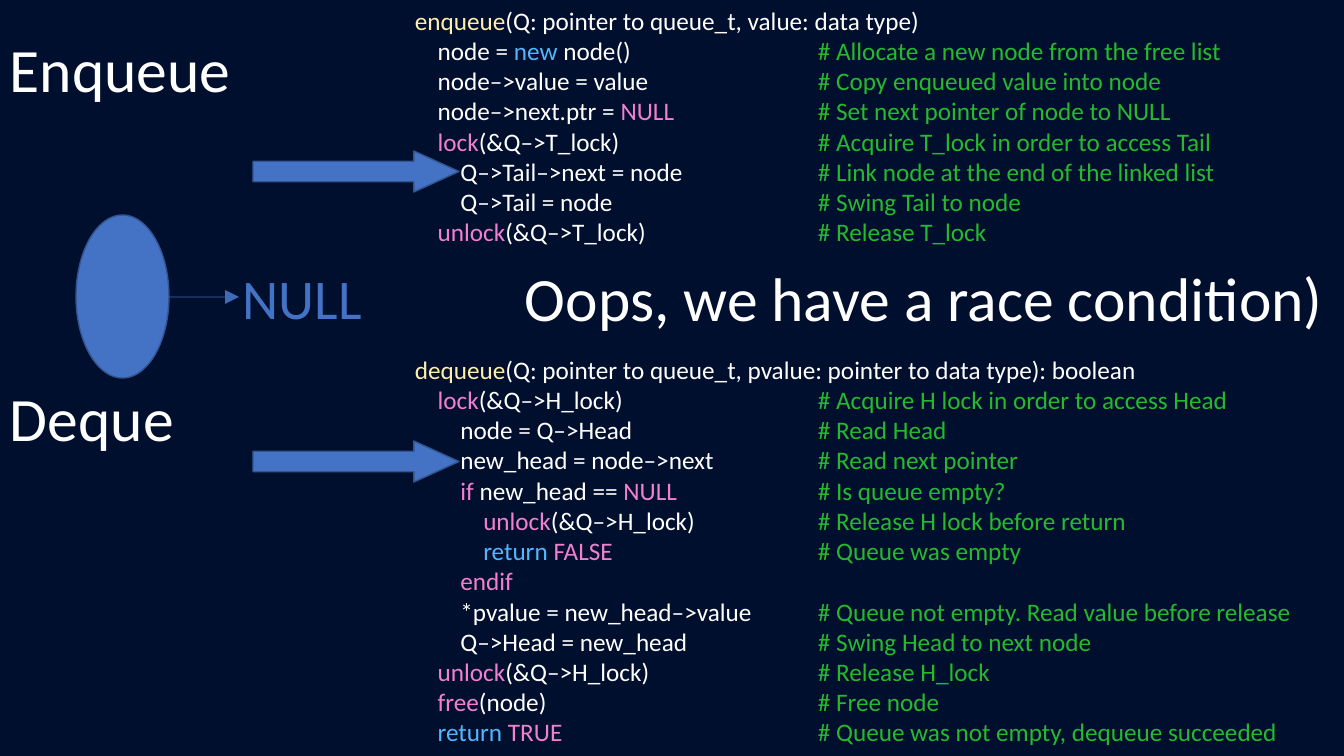
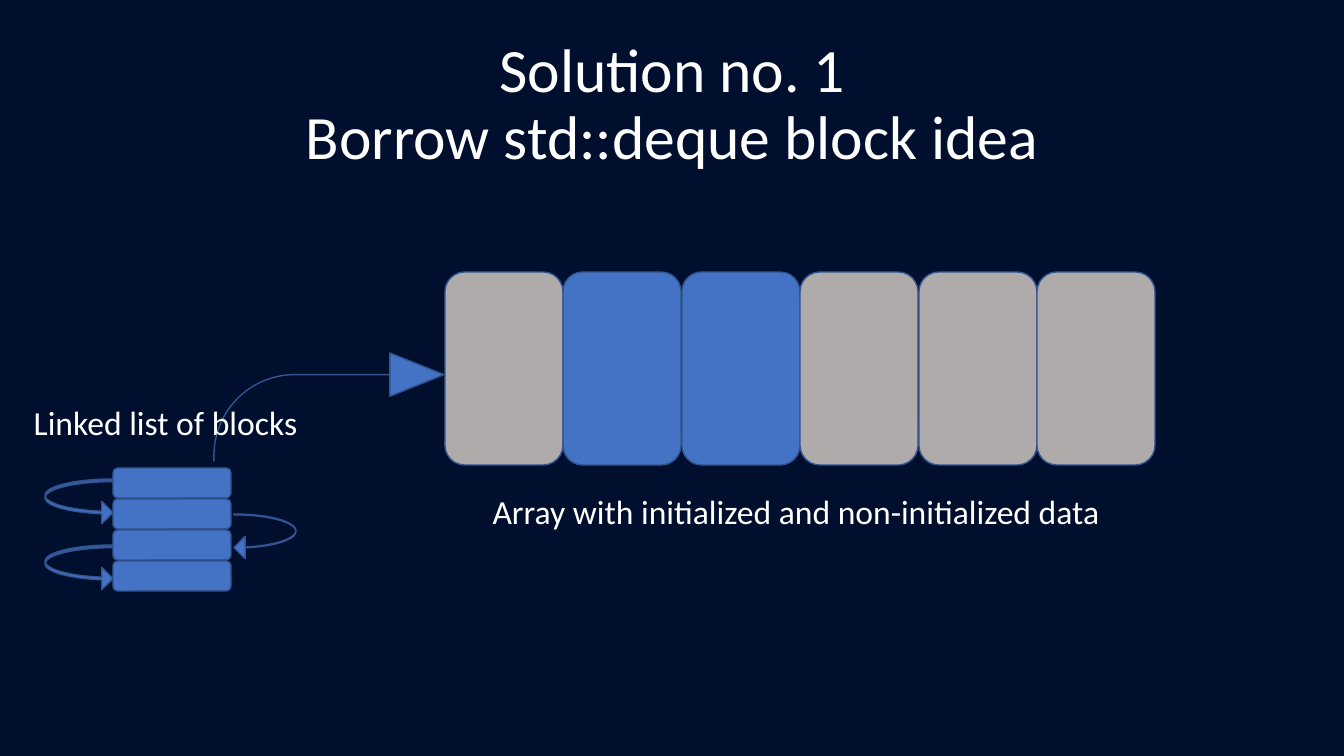
from dataclasses import dataclass
from itertools import groupby
from typing import Any, NamedTuple

from lxml import etree
from pptx import Presentation
from pptx.dml.color import RGBColor
from pptx.enum.shapes import MSO_CONNECTOR, MSO_SHAPE
from pptx.enum.text import MSO_ANCHOR, PP_ALIGN
from pptx.oxml.ns import qn
from pptx.slide import Slide
from pptx.text.text import TextFrame
from pptx.util import Emu, Pt

# Enum members
LEFT, CENTER = PP_ALIGN.LEFT, PP_ALIGN.CENTER
TOP, MIDDLE = MSO_ANCHOR.TOP, MSO_ANCHOR.MIDDLE
STRAIGHT = MSO_CONNECTOR.STRAIGHT
ELLIPSE = MSO_SHAPE.OVAL
ROUNDED = MSO_SHAPE.ROUNDED_RECTANGLE
RIGHT_ARROW = MSO_SHAPE.RIGHT_ARROW
CURVED_RIGHT = MSO_SHAPE.CURVED_RIGHT_ARROW
CURVED_LEFT = MSO_SHAPE.CURVED_LEFT_ARROW
BENT_ARROW = MSO_SHAPE.BENT_ARROW

# Colours and scale
NAVY = RGBColor(0x00, 0x0F, 0x2E)
WHITE = RGBColor(0xFF, 0xFF, 0xFF)
BLUE = RGBColor(0x44, 0x72, 0xC4)
OUTLINE = RGBColor(0x32, 0x54, 0x91)
GRAY = RGBColor(0xAF, 0xAB, 0xAB)
YELLOW = RGBColor(0xFF, 0xEE, 0xAB)
PINK = RGBColor(0xF2, 0x80, 0xD0)
SKY = RGBColor(0x53, 0xB5, 0xFC)
GREEN = RGBColor(0x26, 0xB9, 0x2E)

FONT = "Calibri"
SLIDE_WIDTH, SLIDE_HEIGHT = 1344, 756
EMU_PER_PX = 12192000 / SLIDE_WIDTH
COMMENT_TAB = 403

KEYWORD_COLORS = {
    **dict.fromkeys(("enqueue", "dequeue"), YELLOW),
    **dict.fromkeys(("new", "return"), SKY),
    **dict.fromkeys(("lock", "unlock", "free", "if", "endif", "NULL", "TRUE", "FALSE"), PINK),
}


class Box(NamedTuple):
    left: int
    top: int
    width: int
    height: int


class CodeLine(NamedTuple):
    code: str
    comment: str = ""


@dataclass(frozen=True)
class Label:
    text: str
    box: Box
    size: int = 44
    color: RGBColor = WHITE
    align: PP_ALIGN = LEFT
    anchor: MSO_ANCHOR = MIDDLE
    spacing: float = 0.9


@dataclass(frozen=True)
class Figure:
    kind: MSO_SHAPE
    box: Box
    fill: RGBColor = BLUE
    adjustments: tuple[float, ...] = ()


ENQUEUE_CODE = (
    CodeLine("enqueue(Q: pointer to queue_t, value: data type)"),
    CodeLine("    node = new node()", "# Allocate a new node from the free list"),
    CodeLine("    node–>value = value", "# Copy enqueued value into node"),
    CodeLine("    node–>next.ptr = NULL", "# Set next pointer of node to NULL"),
    CodeLine("    lock(&Q–>T_lock)", "# Acquire T_lock in order to access Tail"),
    CodeLine("        Q–>Tail–>next = node", "# Link node at the end of the linked list"),
    CodeLine("        Q–>Tail = node", "# Swing Tail to node"),
    CodeLine("    unlock(&Q–>T_lock)", "# Release T_lock"),
)
DEQUEUE_CODE = (
    CodeLine("dequeue(Q: pointer to queue_t, pvalue: pointer to data type): boolean"),
    CodeLine("    lock(&Q–>H_lock)", "# Acquire H lock in order to access Head"),
    CodeLine("        node = Q–>Head", "# Read Head"),
    CodeLine("        new_head = node–>next", "# Read next pointer"),
    CodeLine("        if new_head == NULL", "# Is queue empty?"),
    CodeLine("            unlock(&Q–>H_lock)", "# Release H lock before return"),
    CodeLine("            return FALSE", "# Queue was empty"),
    CodeLine("        endif"),
    CodeLine("        *pvalue = new_head–>value", "# Queue not empty. Read value before release"),
    CodeLine("        Q–>Head = new_head", "# Swing Head to next node"),
    CodeLine("    unlock(&Q–>H_lock)", "# Release H_lock"),
    CodeLine("    free(node)", "# Free node"),
    CodeLine("    return TRUE", "# Queue was not empty, dequeue succeeded"),
)


def px(length: int) -> Emu:
    return Emu(round(length * EMU_PER_PX))


def apply_format(target: Any, values: dict[str, Any]) -> None:
    for name, value in values.items():
        setattr(target, name, value)


def format_run(run: Any, size: int, color: RGBColor) -> None:
    apply_format(run.font, {"name": FONT, "size": Pt(size)})
    run.font.color.rgb = color


def add_frame(slide: Slide, box: Box, anchor: MSO_ANCHOR) -> TextFrame:
    frame = slide.shapes.add_textbox(*map(px, box)).text_frame
    apply_format(frame, {"word_wrap": True, "vertical_anchor": anchor})
    return frame


def add_label(slide: Slide, label: Label) -> None:
    paragraph = add_frame(slide, label.box, label.anchor).paragraphs[0]
    paragraph.text = label.text
    apply_format(paragraph, {"alignment": label.align, "line_spacing": label.spacing})
    for run in paragraph.runs:
        format_run(run, label.size, label.color)


def add_figure(slide: Slide, figure: Figure) -> None:
    shape = slide.shapes.add_shape(figure.kind, *map(px, figure.box))
    shape.shadow.inherit = False
    shape.fill.solid()
    shape.fill.fore_color.rgb = figure.fill
    shape.line.color.rgb = OUTLINE
    shape.line.width = Pt(1)
    for index, value in enumerate(figure.adjustments):
        shape.adjustments[index] = value


def add_pointer(slide: Slide, left: int, right: int, y: int) -> None:
    """Draw a thin horizontal arrow pointing right."""
    connector = slide.shapes.add_connector(STRAIGHT, px(left), px(y), px(right), px(y))
    connector.line.color.rgb = BLUE
    connector.line.width = Pt(0.5)
    properties = connector._element.spPr
    line = properties.find(qn("a:ln"))
    etree.SubElement(line.find(f".//{qn('a:srgbClr')}"), qn("a:alpha"), val="92000")
    etree.SubElement(line, qn("a:tailEnd"), type="triangle", w="lg", len="lg")
    etree.SubElement(properties, qn("a:effectLst"))


def color_code(code: str) -> list[tuple[str, RGBColor]]:
    """Split code into words and join neighbours of one colour."""
    words = groupby(code, key=lambda letter: letter.isalnum() or letter == "_")
    tokens = ("".join(letters) for _, letters in words)
    runs = groupby(tokens, key=lambda token: KEYWORD_COLORS.get(token, WHITE))
    return [("".join(parts), color) for color, parts in runs]


def add_code(slide: Slide, box: Box, lines: tuple[CodeLine, ...]) -> None:
    frame = add_frame(slide, box, TOP)
    for index, line in enumerate(lines):
        paragraph = frame.paragraphs[0] if index == 0 else frame.add_paragraph()
        runs = color_code(line.code)
        if line.comment:
            tabs = etree.SubElement(paragraph._p.get_or_add_pPr(), qn("a:tabLst"))
            etree.SubElement(tabs, qn("a:tab"), pos=str(px(COMMENT_TAB)), algn="l")
            runs.append(("\t" + line.comment, GREEN))
        for text, color in runs:
            run = paragraph.add_run()
            run.text = text
            format_run(run, 18, color)


def build_race_slide(slide: Slide) -> None:
    # Headings and code
    add_label(slide, Label("Enqueue", Box(0, 0, 247, 146)))
    add_code(slide, Box(405, 0, 939, 254), ENQUEUE_CODE)
    add_code(slide, Box(405, 349, 939, 407), DEQUEUE_CODE)
    add_label(slide, Label("Deque", Box(0, 349, 247, 146)))

    # Arrows marking the conflicting lines
    for top in (151, 441):
        add_figure(slide, Figure(RIGHT_ARROW, Box(253, top, 206, 41), adjustments=(0.5, 1.1)))
    add_label(slide, Label("Oops, we have a race condition)", Box(515, 229, 829, 146)))

    # Single node pointing to NULL
    add_figure(slide, Figure(ELLIPSE, Box(76, 215, 93, 163)))
    add_pointer(slide, 169, 239, 297)
    add_label(slide, Label("NULL", Box(233, 259, 151, 78), 40, BLUE, anchor=TOP, spacing=1.0))


def build_solution_slide(slide: Slide) -> None:
    add_label(slide, Label("Solution no. 1\nBorrow std::deque block idea",
                           Box(93, 33, 1159, 146), align=CENTER))

    # Linked list: stacked blocks with curved links
    for index in range(4):
        add_figure(slide, Figure(ROUNDED, Box(113, 468 + 31 * index, 118, 30)))
    links = (
        (CURVED_RIGHT, Box(45, 479, 68, 45), 0.06),
        (CURVED_LEFT, Box(234, 514, 62, 45), 0.02),
        (CURVED_RIGHT, Box(45, 545, 68, 45), 0.06),
    )
    for kind, box, thickness in links:
        add_figure(slide, Figure(kind, box, adjustments=(thickness, 0.5, 0.25)))

    # Array: equal cells side by side
    cells = (GRAY, BLUE, BLUE, GRAY, GRAY, GRAY)
    array_left, array_width = 445, 711
    for index, fill in enumerate(cells):
        left = array_left + array_width * index // len(cells)
        add_figure(slide, Figure(ROUNDED, Box(left, 272, 118, 193), fill))
    add_figure(slide, Figure(BENT_ARROW, Box(214, 353, 230, 108),
                             adjustments=(0, 0.2, 0.5, 0.75)))

    # Captions
    add_label(slide, Label("Linked list of blocks", Box(0, 393, 331, 64), 24, align=CENTER))
    add_label(slide, Label("Array with initialized and non-initialized data",
                           Box(482, 475, 628, 78), 24, align=CENTER))


def main() -> None:
    presentation = Presentation()
    apply_format(presentation, {"slide_width": px(SLIDE_WIDTH), "slide_height": px(SLIDE_HEIGHT)})
    background = presentation.slide_master.background.fill
    background.solid()
    background.fore_color.rgb = NAVY
    blank = presentation.slide_layouts[6]
    for build in (build_race_slide, build_solution_slide):
        build(presentation.slides.add_slide(blank))
    presentation.save("out.pptx")


if __name__ == "__main__":
    main()
